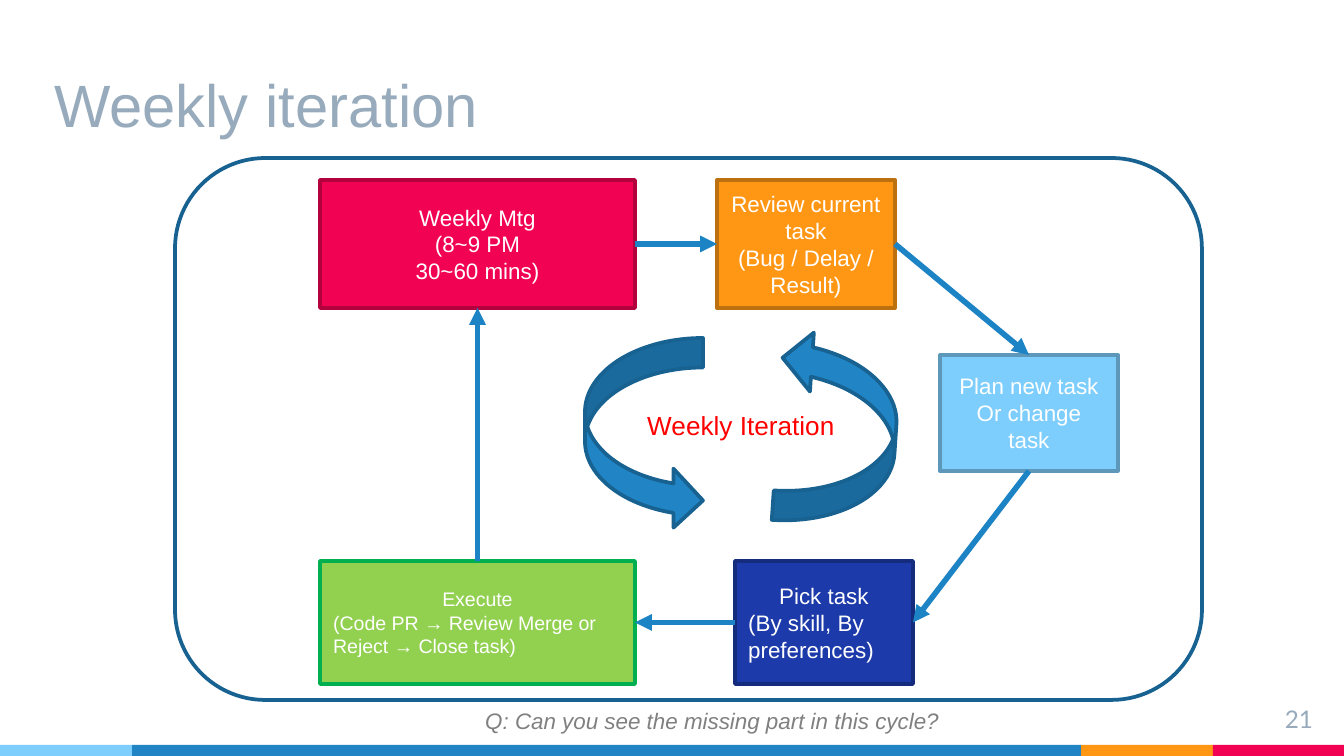
from lxml.etree import SubElement
from pptx import Presentation
from pptx.dml.color import RGBColor
from pptx.enum.shapes import MSO_CONNECTOR as Connector, MSO_SHAPE as Shape
from pptx.enum.text import MSO_ANCHOR as Anchor, PP_ALIGN as Align
from pptx.oxml.ns import qn
from pptx.util import Emu, Pt

WHITE = RGBColor(0xFF, 0xFF, 0xFF)
SKY = RGBColor(0x7E, 0xCE, 0xFD)
SKY_DARK = RGBColor(0x5D, 0x98, 0xBB)
BLUE = RGBColor(0x21, 0x85, 0xC5)
BLUE_DARK = RGBColor(0x18, 0x62, 0x92)
ARROW_BLUE = RGBColor(0x1C, 0x83, 0xC5)
ORANGE = RGBColor(0xFF, 0x97, 0x15)
ORANGE_DARK = RGBColor(0xBD, 0x70, 0x10)
PINK = RGBColor(0xF2, 0x02, 0x53)
PINK_DARK = RGBColor(0xB3, 0x01, 0x3D)
NAVY = RGBColor(0x1C, 0x3A, 0xA9)
NAVY_DARK = RGBColor(0x15, 0x2B, 0x7D)
GREEN = RGBColor(0x92, 0xD0, 0x50)
GREEN_DARK = RGBColor(0x00, 0xB0, 0x50)
SLATE = RGBColor(0x97, 0xAB, 0xBC)
GRAY = RGBColor(0x80, 0x80, 0x80)
RED = RGBColor(0xFF, 0x00, 0x00)

TOP, LEFT, BOTTOM, RIGHT = range(4)


def px(length):
    return Emu(round(length * 914400 / 134.4))


class SlideBuilder:
    font_name = "Arial"
    outline_width = Pt(2)
    arrow_width = Pt(3)

    def __init__(self, slide):
        self.slide = slide

    def style(self, paragraph, size, color, align, font_name=None, italic=None):
        paragraph.alignment = align
        paragraph.font.name = font_name or self.font_name
        paragraph.font.size = Pt(size)
        paragraph.font.color.rgb = color
        paragraph.font.italic = italic

    def inset(self, frame, margin):
        frame.margin_left = frame.margin_right = px(margin)
        frame.margin_top = frame.margin_bottom = px(margin)

    def title(self, text, box):
        title = self.slide.shapes.title
        title.left, title.top, title.width, title.height = map(px, box)
        frame = title.text_frame
        frame.text = text
        frame.vertical_anchor = Anchor.BOTTOM
        self.inset(frame, 13)
        self.style(frame.paragraphs[0], 32, SLATE, Align.LEFT)

    def shape(self, kind, box, fill, outline=None, rotation=0):
        shape = self.slide.shapes.add_shape(kind, *map(px, box))
        shape.shadow.inherit = False
        shape.rotation = rotation
        shape.fill.solid()
        shape.fill.fore_color.rgb = fill
        if outline is None:
            shape.line.fill.background()
        else:
            shape.line.color.rgb = outline
            shape.line.width = self.outline_width
        return shape

    def step(self, box, fill, outline, lines, size=12, last_align=Align.CENTER):
        shape = self.shape(Shape.RECTANGLE, box, fill, outline)
        frame = shape.text_frame
        frame.text = "\n".join(lines)
        frame.word_wrap = True
        frame.vertical_anchor = Anchor.MIDDLE
        for paragraph in frame.paragraphs:
            self.style(paragraph, size, WHITE, Align.CENTER)
        frame.paragraphs[-1].alignment = last_align
        return shape

    def text(self, text, box, size, color, align, wrap=False, margin=None, **font):
        frame = self.slide.shapes.add_textbox(*map(px, box)).text_frame
        frame.text = text
        frame.word_wrap = wrap
        if margin is not None:
            self.inset(frame, margin)
        self.style(frame.paragraphs[0], size, color, align, **font)

    def arrow(self, start, start_side, end, end_side):
        connector = self.slide.shapes.add_connector(Connector.STRAIGHT, 0, 0, 0, 0)
        connector.begin_connect(start, start_side)
        connector.end_connect(end, end_side)
        connector.line.color.rgb = ARROW_BLUE
        connector.line.width = self.arrow_width
        SubElement(connector.line._get_or_add_ln(), qn("a:tailEnd"), type="triangle")
        SubElement(connector._element.spPr, qn("a:effectLst"))


def main():
    presentation = Presentation()
    presentation.slide_width, presentation.slide_height = px(1344), px(756)
    builder = SlideBuilder(presentation.slides.add_slide(presentation.slide_layouts[5]))

    left = 0
    for width, color in [(132, SKY), (949, BLUE), (132, ORANGE), (131, PINK)]:
        builder.shape(Shape.RECTANGLE, (left, 745, width, 11), color)
        left += width

    builder.shape(Shape.ROUNDED_RECTANGLE, (175, 158, 1027, 542), WHITE, BLUE_DARK)
    builder.title("Weekly iteration", (41, 27, 950, 126))
    builder.text("21", (1246, 691, 80, 46), 13, SLATE, Align.RIGHT,
                 wrap=True, margin=13, font_name="Lato")

    meeting = builder.step((320, 180, 315, 128), PINK, PINK_DARK,
                           ["Weekly Mtg", "(8~9 PM", "30~60 mins)"])
    review = builder.step((717, 180, 178, 128), ORANGE, ORANGE_DARK,
                          ["Review current task", "(Bug / Delay / Result)"])
    plan = builder.step((940, 355, 178, 116), SKY, SKY_DARK,
                        ["Plan new task", "Or change task"])
    pick = builder.step((735, 561, 178, 123), NAVY, NAVY_DARK,
                        ["Pick task", "(By skill, By preferences)"],
                        last_align=Align.LEFT)
    execute = builder.step((320, 561, 315, 123), GREEN, GREEN_DARK,
                           ["Execute", "(Code PR → Review Merge or Reject → Close task)"],
                           size=10.5, last_align=Align.LEFT)

    builder.arrow(meeting, RIGHT, review, LEFT)
    builder.arrow(review, RIGHT, plan, TOP)
    builder.arrow(plan, BOTTOM, pick, RIGHT)
    builder.arrow(pick, LEFT, execute, RIGHT)
    builder.arrow(execute, TOP, meeting, BOTTOM)

    builder.text("Q: Can you see the missing part in this cycle?", (472, 701, 526, 46),
                 12, GRAY, Align.LEFT, italic=True)
    for box, rotation in [((585, 338, 118, 192), 0), ((778, 332, 118, 192), 183.8)]:
        builder.shape(Shape.CURVED_RIGHT_ARROW, box, BLUE, BLUE_DARK, rotation)
    builder.text("Weekly Iteration", (633, 403, 216, 46), 14, RED, Align.CENTER)

    presentation.save("out.pptx")


if __name__ == "__main__":
    main()
